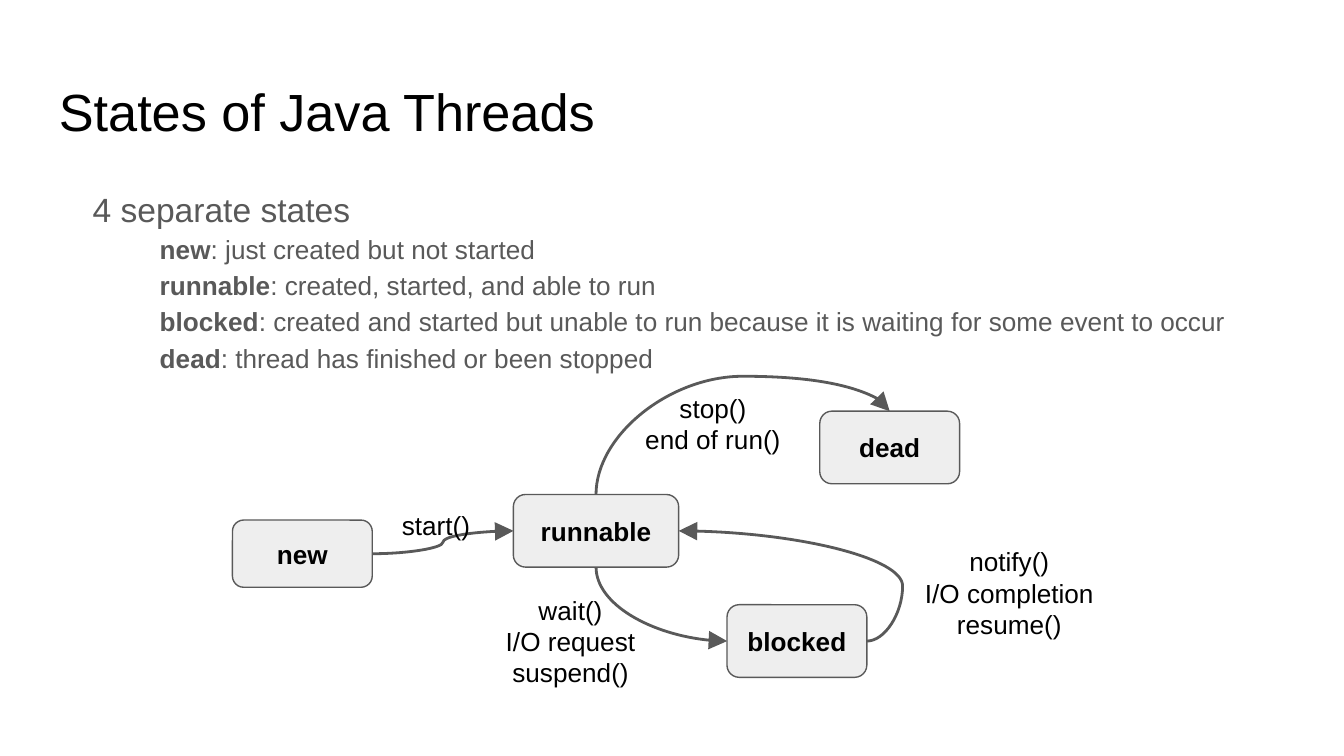
from typing import NamedTuple, Optional

from lxml import etree
from pptx import Presentation
from pptx import util as u
from pptx.dml import color
from pptx.enum import shapes, text
from pptx.oxml import ns

COLUMNS = 1000
COLORS = {"ink": "000000", "body": "595959", "box": "EEEEEE", "edge": "595959"}
FONT = "Arial"
TOP, LEFT, BOTTOM, RIGHT = range(4)


class Area(NamedTuple):
    column: int
    row: int
    columns: int
    rows: int


class State(NamedTuple):
    name: str
    area: Area


class Transition(NamedTuple):
    source: str
    source_side: int
    target: str
    target_side: int
    bend: Optional[float]


class Label(NamedTuple):
    wording: str
    area: Area


STATES = [
    State("new", Area(173, 387, 104, 50)),
    State("runnable", Area(382, 368, 123, 54)),
    State("blocked", Area(541, 450, 104, 54)),
    State("dead", Area(610, 306, 104, 54)),
]
TRANSITIONS = [
    Transition("new", RIGHT, "runnable", LEFT, 0.5),
    Transition("runnable", BOTTOM, "blocked", LEFT, None),
    Transition("blocked", RIGHT, "runnable", RIGHT, -0.19),
    Transition("runnable", TOP, "dead", TOP, 1.42),
]
LABELS = [
    Label("start()", Area(286, 381, 77, 19)),
    Label("wait()\nI/O request\nsuspend()", Area(339, 444, 171, 66)),
    Label("notify()\nI/O completion\nresume()", Area(675, 408, 152, 66)),
    Label("stop()\nend of run()", Area(469, 294, 123, 42)),
]
MEANINGS = {
    "new": "just created but not started",
    "runnable": "created, started, and able to run",
    "blocked": "created and started but unable to run because it is waiting for some event to occur",
    "dead": "thread has finished or been stopped",
}

deck = Presentation()
deck.slide_width = u.Inches(10)
deck.slide_height = u.Emu(deck.slide_width * 9 // 16)
slide = deck.slides.add_slide(deck.slide_layouts[6])


def place(area: Area) -> list:
    cell = deck.slide_width // COLUMNS
    return [u.Emu(count * cell) for count in area]


def rgb(name: str) -> color.RGBColor:
    return color.RGBColor.from_string(COLORS[name])


def write(paragraph, wording: str, *, size: int = 14, bold: bool = False,
          ink: str = "ink", align=text.PP_ALIGN.LEFT) -> None:
    paragraph.alignment = align
    for number, line in enumerate(wording.split("\n")):
        if number:
            paragraph.add_line_break()
        run = paragraph.add_run()
        run.text = line
        run.font.name, run.font.size, run.font.bold = FONT, u.Pt(size), bold
        run.font.color.rgb = rgb(ink)


def prepare(frame, anchor=text.MSO_ANCHOR.TOP):
    frame.word_wrap = True
    frame.auto_size = text.MSO_AUTO_SIZE.NONE
    frame.vertical_anchor = anchor
    frame.margin_left = frame.margin_right = u.Inches(0.1)
    frame.margin_top = frame.margin_bottom = u.Inches(0.1)
    return frame


def add_frame(area: Area, anchor=text.MSO_ANCHOR.TOP):
    return prepare(slide.shapes.add_textbox(*place(area)).text_frame, anchor)


def indent(paragraph, level: int) -> None:
    paragraph.level = level
    paragraph.line_spacing = 1.15
    properties = paragraph._p.get_or_add_pPr()
    properties.set("marL", str(u.Inches(0.5 * (level + 1))))
    properties.set("indent", str(u.Inches(-0.25)))


def draw_state(state: State):
    box = slide.shapes.add_shape(shapes.MSO_SHAPE.ROUNDED_RECTANGLE, *place(state.area))
    box.shadow.inherit = False
    box.fill.solid()
    box.fill.fore_color.rgb = rgb("box")
    box.line.color.rgb = rgb("edge")
    box.line.width = u.Pt(0.75)
    frame = prepare(box.text_frame, text.MSO_ANCHOR.MIDDLE)
    write(frame.paragraphs[0], state.name, bold=True, align=text.PP_ALIGN.CENTER)
    return box


def draw_transition(move: Transition, boxes: dict) -> None:
    curve = slide.shapes.add_connector(shapes.MSO_CONNECTOR.CURVE, 0, 0, 0, 0)
    curve.begin_connect(boxes[move.source], move.source_side)
    curve.end_connect(boxes[move.target], move.target_side)
    curve.line.color.rgb = rgb("edge")
    curve.line.width = u.Pt(1.5)

    across, down = curve.end_x - curve.begin_x, curve.end_y - curve.begin_y
    middle_x, middle_y = (curve.begin_x + curve.end_x) // 2, (curve.begin_y + curve.end_y) // 2
    upright = move.source_side in (TOP, BOTTOM)
    along, aside = (down, across) if upright else (across, down)
    curve.width, curve.height = abs(along), abs(aside)
    curve.left, curve.top = middle_x - abs(along) // 2, middle_y - abs(aside) // 2

    properties = curve._element.spPr
    transform = properties.find(ns.qn("a:xfrm"))
    transform.set("rot", str((270 if upright else 180) * 60000))
    transform.set("flipH", str(int(along > 0)))
    transform.set("flipV", "0")

    geometry = properties.find(ns.qn("a:prstGeom"))
    if move.bend is None:
        geometry.set("prst", "curvedConnector2")
    else:
        guide = etree.SubElement(geometry.find(ns.qn("a:avLst")), ns.qn("a:gd"))
        guide.set("name", "adj1")
        guide.set("fmla", f"val {round(move.bend * 100000)}")
    head = etree.SubElement(properties.find(ns.qn("a:ln")), ns.qn("a:tailEnd"))
    for key, value in {"type": "triangle", "w": "lg", "len": "lg"}.items():
        head.set(key, value)
    etree.SubElement(properties, ns.qn("a:effectLst"))


def main() -> None:
    title = add_frame(Area(34, 49, 932, 63))
    write(title.paragraphs[0], "States of Java Threads", size=28)

    summary = add_frame(Area(34, 126, 932, 169))
    indent(summary.paragraphs[0], 0)
    write(summary.paragraphs[0], "4 separate states", size=18, ink="body")
    for name, meaning in MEANINGS.items():
        paragraph = summary.add_paragraph()
        indent(paragraph, 1)
        write(paragraph, name, bold=True, ink="body")
        write(paragraph, f": {meaning}", ink="body")

    boxes = {state.name: draw_state(state) for state in STATES}
    for move in TRANSITIONS:
        draw_transition(move, boxes)
    for label in LABELS:
        frame = add_frame(label.area, text.MSO_ANCHOR.MIDDLE)
        write(frame.paragraphs[0], label.wording, align=text.PP_ALIGN.CENTER)

    deck.save("out.pptx")


if __name__ == "__main__":
    main()
